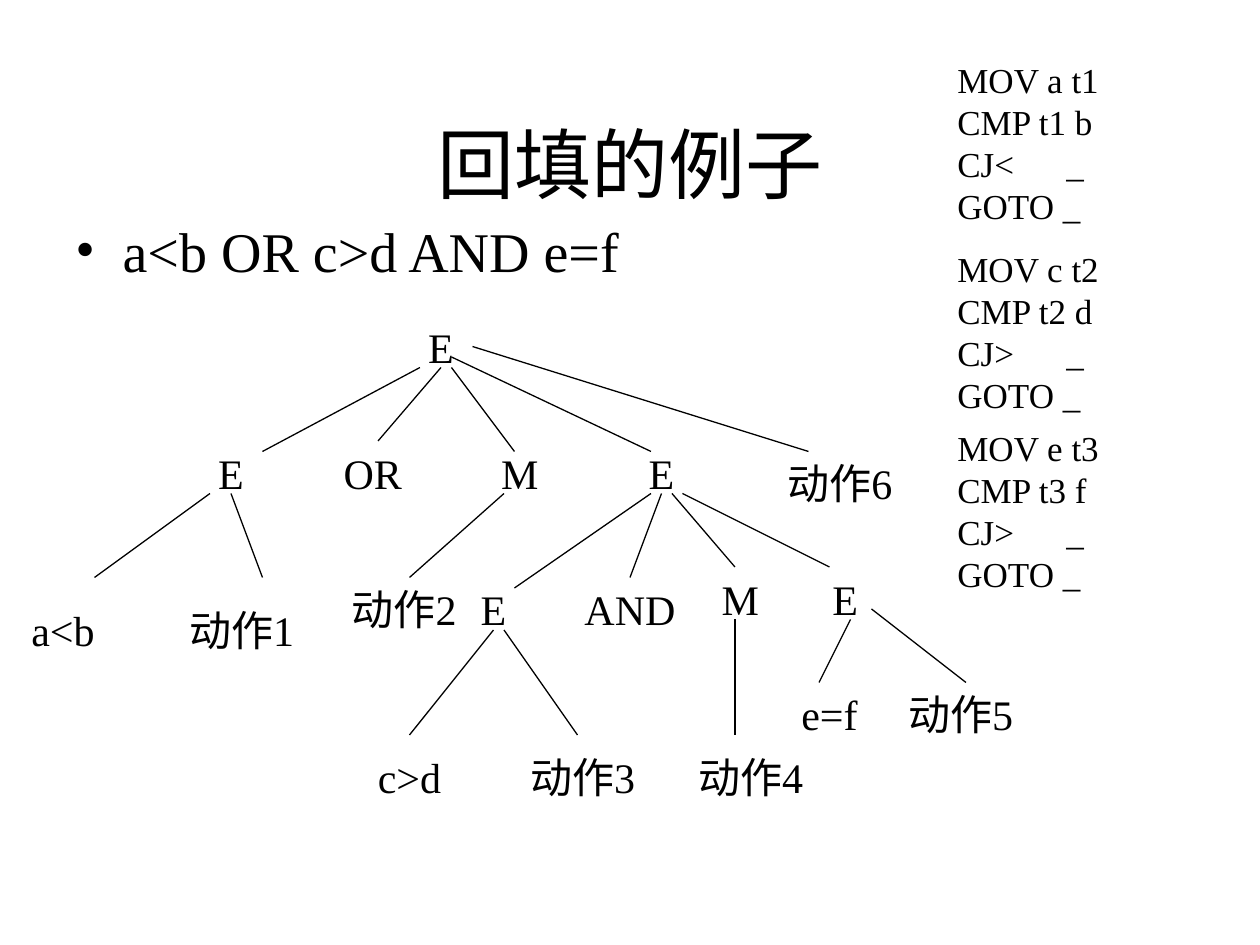
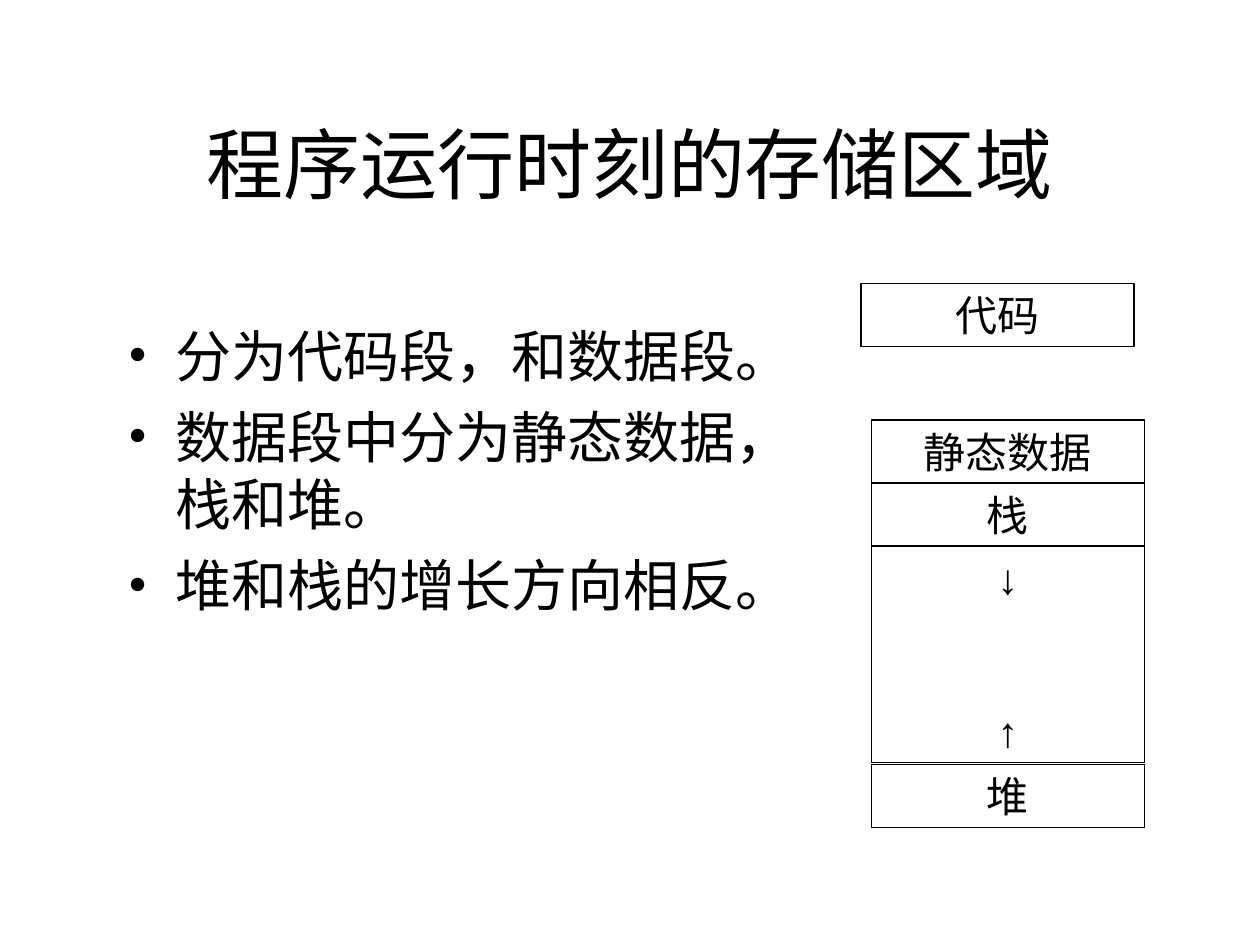
from lxml import etree
from pptx import Presentation
from pptx.dml.color import RGBColor
from pptx.enum.shapes import MSO_CONNECTOR, MSO_SHAPE
from pptx.enum.text import MSO_ANCHOR, PP_ALIGN
from pptx.oxml.ns import qn
from pptx.util import Cm, Pt

COLORS = {"ink": "000000", "paper": "FFFFFF"}
SERIF = "Times New Roman"
GRID_CM = 2.54 / 12
LINE_RATIO = 1.2

TREE_LABELS = [
    ("E", 36, 0, 12),
    ("E", 18, 12, 8), ("OR", 31, 12, 9), ("M", 45, 12, 9),
    ("E", 57, 12, 12), ("动作6", 71, 13, 18),
    ("a<b", 0, 27, 12), ("动作1", 15, 27, 16), ("动作2", 32, 25, 13),
    ("E", 43, 25, 8), ("AND", 54, 25, 12), ("M", 66, 24, 9), ("E", 76, 24, 9),
    ("c>d", 32, 41, 14), ("动作3", 49, 41, 13), ("动作4", 65, 41, 13),
    ("e=f", 74, 35, 10), ("动作5", 85, 35, 13),
]
TREE_BRANCHES = [
    (40, 5, 25, 13), (42, 5, 36, 12), (43, 5, 49, 13), (43, 4, 62, 13), (45, 3, 77, 13),
    (20, 17, 9, 25), (22, 17, 25, 25), (48, 17, 39, 25),
    (62, 17, 49, 26), (63, 17, 60, 25), (64, 17, 70, 24), (65, 17, 79, 24),
    (47, 30, 39, 40), (48, 30, 55, 40), (70, 29, 70, 40),
    (81, 29, 78, 35), (83, 28, 92, 35),
]
CODE_BLOCKS = [("a", "t1", "b", "<", 5), ("c", "t2", "d", ">", 23), ("e", "t3", "f", ">", 40)]


def grid(count):
    """Turn twelfths of an inch into a length."""
    return Cm(count * GRID_CM)


def color(name):
    """Look up a colour of the deck."""
    return RGBColor.from_string(COLORS[name])


def style(paragraph, size, align=PP_ALIGN.LEFT, font=SERIF):
    """Format a paragraph and its runs."""
    paragraph.alignment = align
    for run in paragraph.runs:
        run.font.name = font
        run.font.size = Pt(size)
        run.font.color.rgb = color("ink")


def tighten(paragraph, size):
    """Fix the line pitch in proportion to the text size."""
    paragraph.line_spacing = Pt(size * LINE_RATIO)


def add_text(slide, text, left, top, width, height):
    """Add a wrapping text box and return its frame."""
    frame = slide.shapes.add_textbox(*map(grid, (left, top, width, height))).text_frame
    frame.word_wrap = True
    frame.text = text
    return frame


def add_title(slide, text):
    """Add the centred slide title."""
    frame = add_text(slide, text, 9, 8, 102, 15)
    frame.vertical_anchor = MSO_ANCHOR.MIDDLE
    style(frame.paragraphs[0], 44, PP_ALIGN.CENTER)


def add_bullets(slide, points, left, top, width, height):
    """Add a bulleted list."""
    frame = add_text(slide, "\n".join(points), left, top, width, height)
    for index, paragraph in enumerate(frame.paragraphs):
        properties = paragraph._p.get_or_add_pPr()
        properties.set("marL", str(grid(4.5)))
        properties.set("indent", str(-grid(4.5)))
        etree.SubElement(properties, qn("a:buFont"), typeface=SERIF)
        etree.SubElement(properties, qn("a:buChar"), char="•")
        style(paragraph, 32)
        tighten(paragraph, 32)
        if index:
            paragraph.space_before = Pt(8)


def add_branch(slide, x1, y1, x2, y2):
    """Draw one thin line between two grid points."""
    branch = slide.shapes.add_connector(MSO_CONNECTOR.STRAIGHT, *map(grid, (x1, y1, x2, y2)))
    branch.line.color.rgb = color("ink")
    branch.line.width = Pt(0.75)
    etree.SubElement(branch._element.spPr, qn("a:effectLst"))


def add_syntax_tree(slide, left, top):
    """Draw the syntax tree from its top left corner."""
    for text, x, y, width in TREE_LABELS:
        label = add_text(slide, text, left + x, top + y, width, 6).paragraphs[0]
        style(label, 24, PP_ALIGN.CENTER)
        tighten(label, 24)
    for x1, y1, x2, y2 in TREE_BRANCHES:
        add_branch(slide, left + x1, top + y1, left + x2, top + y2)


def add_code_block(slide, block, left):
    """Add the instructions for one comparison."""
    operand, register, other, relation, top = block
    code = f"MOV {operand} {register}\nCMP {register} {other}\nCJ{relation}\t_\nGOTO _"
    frame = add_text(slide, code, left, top, 25, 17.25)
    for instruction in frame.paragraphs:
        tabs = etree.SubElement(instruction._p.get_or_add_pPr(), qn("a:tabLst"))
        etree.SubElement(tabs, qn("a:tab"), pos=str(Cm(2.2)), algn="l")
        style(instruction, 20)
        tighten(instruction, 20)


def add_segment(slide, text, left, top, height=6, font=SERIF):
    """Draw one outlined memory segment and return its frame."""
    segment = slide.shapes.add_shape(MSO_SHAPE.RECTANGLE, *map(grid, (left, top, 26, height)))
    segment.shadow.inherit = False
    segment.fill.background()
    segment.line.color.rgb = color("ink")
    segment.line.width = Pt(0.75)
    frame = segment.text_frame
    frame.word_wrap = True
    frame.vertical_anchor = MSO_ANCHOR.TOP
    frame.text = text
    for paragraph in frame.paragraphs:
        style(paragraph, 24, PP_ALIGN.CENTER, font)
        tighten(paragraph, 24)
    return frame


def add_memory_map(slide, left, top):
    """Draw the code segment and the data segment below it."""
    add_segment(slide, "代码", left, top)
    data_left, data_top = left + 1, top + 13
    for text, offset in (("静态数据", 0), ("栈", 6), ("堆", 32.84)):
        add_segment(slide, text, data_left, data_top + offset)
    growth = add_segment(slide, "↓\n↑", data_left, data_top + 12, 20.64, "Arial")
    growth.paragraphs[1].space_before = Pt(59)


def add_slide(deck, title):
    """Start a blank slide with its background and title."""
    slide = deck.slides.add_slide(deck.slide_layouts[6])
    slide.background.fill.solid()
    slide.background.fill.fore_color.rgb = color("paper")
    add_title(slide, title)
    return slide


def build_backpatching(deck):
    """Build the backpatching example."""
    slide = add_slide(deck, "回填的例子")
    add_bullets(slide, ["a<b OR c>d AND e=f"], 6, 20, 56, 9)
    add_syntax_tree(slide, 0, 30)
    for block in CODE_BLOCKS:
        add_code_block(slide, block, 90)


def build_storage(deck):
    """Build the run-time storage overview."""
    slide = add_slide(deck, "程序运行时刻的存储区域")
    points = ["分为代码段，和数据段。", "数据段中分为静态数据，栈和堆。", "堆和栈的增长方向相反。"]
    add_bullets(slide, points, 11, 30, 69, 51)
    add_memory_map(slide, 82, 27)


def main():
    """Build and save the deck."""
    deck = Presentation()
    deck.slide_width, deck.slide_height = Cm(25.4), Cm(19.05)
    build_backpatching(deck)
    build_storage(deck)
    deck.save("out.pptx")


if __name__ == "__main__":
    main()
